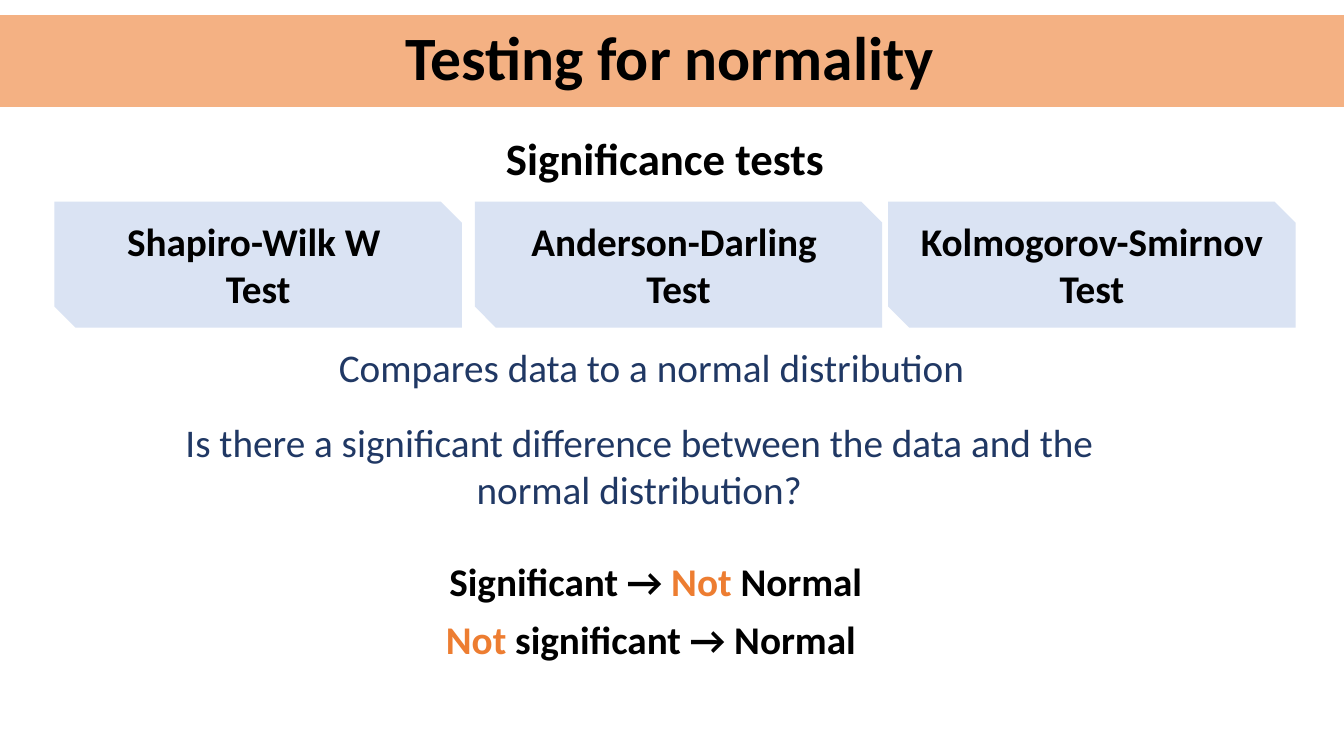
"""Build a slide on significance tests for normality."""
from pptx import Presentation
from pptx.dml.color import RGBColor
from pptx.enum import shapes, text
from pptx.util import Inches, Pt

BLACK, ORANGE, NAVY = "000000", "ED7D31", "203864"
BAND, CARD = "F4B183", "DAE3F3"
LEFT, CENTER = text.PP_ALIGN.LEFT, text.PP_ALIGN.CENTER
TOP, MIDDLE = text.MSO_ANCHOR.TOP, text.MSO_ANCHOR.MIDDLE

BAND_BOX = (0, 0.15, 13.33, 0.91)
LINES = [
    ((3.92, -0.07, 5.75, 1.25), 44, True, LEFT, MIDDLE,
     [("Testing for normality", BLACK)]),
    ((4.92, 1.25, 4.92, 0.64), 32, True, LEFT, TOP,
     [("Significance tests", BLACK)]),
    ((1.75, 3.36, 9.42, 0.57), 28, False, CENTER, TOP,
     [("Compares data to a normal distribution", NAVY)]),
    ((1.5, 4.1, 9.68, 1.04), 28, False, CENTER, TOP,
     [("Is there a significant difference between the data and the "
       "normal distribution?", NAVY)]),
    ((3.53, 5.48, 5.86, 0.57), 28, True, CENTER, TOP,
     [(" Significant → ", BLACK), ("Not ", ORANGE), ("Normal", BLACK)]),
    ((3.03, 6.06, 6.85, 0.57), 28, True, CENTER, TOP,
     [("Not", ORANGE), (" significant → Normal", BLACK)]),
]
TESTS = [(0.54, "Shapiro-Wilk W "), (4.71, "Anderson-Darling "),
         (8.81, "Kolmogorov-Smirnov")]
TEST_TOP, TEST_WIDTH, TEST_HEIGHT = 2, 4.04, 1.25


def color(value):
    return RGBColor.from_string(value)


def write(frame, paragraphs, size, bold, align, anchor):
    frame.word_wrap = True
    frame.vertical_anchor = anchor
    for index, runs in enumerate(paragraphs):
        paragraph = frame.add_paragraph() if index else frame.paragraphs[0]
        paragraph.alignment = align
        for words, ink in runs:
            run = paragraph.add_run()
            run.text = words
            run.font.name = "Calibri"
            run.font.size = Pt(size)
            run.font.bold = bold
            run.font.color.rgb = color(ink)


def add_panel(slide, kind, box, fill):
    panel = slide.shapes.add_shape(kind, *map(Inches, box))
    panel.shadow.inherit = False
    panel.fill.solid()
    panel.fill.fore_color.rgb = color(fill)
    panel.line.fill.background()
    return panel


def main():
    deck = Presentation()
    deck.slide_width, deck.slide_height = Inches(13.33), Inches(7.5)
    slide = deck.slides.add_slide(deck.slide_layouts[6])

    add_panel(slide, shapes.MSO_SHAPE.RECTANGLE, BAND_BOX, BAND)
    for box, size, bold, align, anchor, runs in LINES:
        line = slide.shapes.add_textbox(*map(Inches, box))
        write(line.text_frame, [runs], size, bold, align, anchor)
    for left, test in TESTS:
        card = add_panel(slide, shapes.MSO_SHAPE.SNIP_2_DIAG_RECTANGLE,
                         (left, TEST_TOP, TEST_WIDTH, TEST_HEIGHT), CARD)
        write(card.text_frame, [[(test, BLACK)], [("Test", BLACK)]],
              28, True, CENTER, MIDDLE)

    deck.save("out.pptx")


if __name__ == "__main__":
    main()
